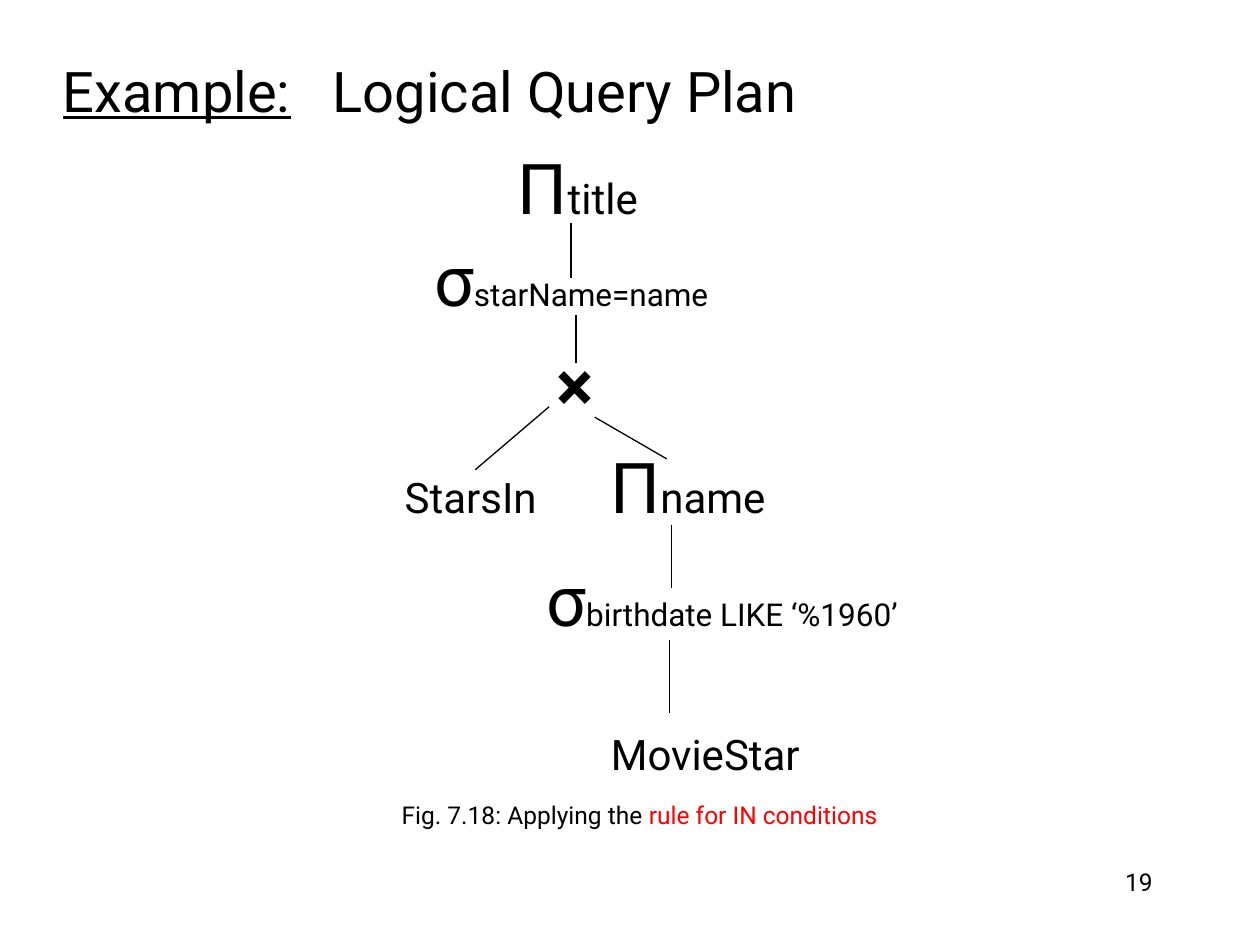
from lxml import etree
from pptx import Presentation
from pptx import util as u
from pptx.dml.color import RGBColor
from pptx.enum import shapes, text
from pptx.oxml import ns

BLACK = RGBColor(0, 0, 0)
RED = RGBColor(255, 0, 0)
FONT = "Roboto"
MID = text.PP_ALIGN.CENTER

NODES = [
    (11.65, 3.77, 3.6, "Π", "title", 24),
    (11.52, 5.61, 6.6, "σ", "starName=name", 18),
    (11.59, 7.73, 1.6, "×", "", 24),
    (9.49, 10.02, 3.8, "", "StarsIn", 24),
    (13.87, 9.79, 4.4, "Π", "name", 24),
    (14.56, 12.07, 8.4, "σ", "birthdate LIKE ‘%1960’", 18),
    (14.22, 15.19, 4.8, "", "MovieStar", 24),
]
EDGES = [
    (11.51, 4.5, 11.51, 5.61),
    (11.61, 6.35, 11.61, 7.32),
    (13.54, 10.59, 13.54, 11.86),
    (13.49, 12.9, 13.49, 14.38),
    (11.07, 8.2, 9.58, 9.47),
    (11.99, 8.41, 13.44, 9.25),
]


def add_text(slide, box, size, align=None, anchor=text.MSO_ANCHOR.MIDDLE):
    """Add an empty text box and return its paragraph."""
    frame = slide.shapes.add_textbox(*map(u.Cm, box)).text_frame
    frame.word_wrap = True
    frame.vertical_anchor = anchor
    para = frame.paragraphs[0]
    para.alignment = align
    para.font.name = FONT
    para.font.size = u.Pt(size)
    para.font.color.rgb = BLACK
    return para


def add_run(para, words):
    """Append a run and return its font."""
    run = para.add_run()
    run.text = words
    return run.font


def add_title(slide):
    """Add the heading with its underlined lead word."""
    para = add_text(slide, (1.02, 0.58, 23.27, 2.46), 32)
    tabs = etree.Element(ns.qn("a:tabLst"))
    etree.SubElement(tabs, ns.qn("a:tab"), pos=str(u.Cm(5.44)), algn="l")
    para._p.pPr.insert(0, tabs)
    add_run(para, "Example:").underline = True
    add_run(para, "\tLogical Query Plan")


def add_node(slide, x, y, wide, sign, label, size):
    """Add a plan node centred on a point."""
    high = 1.96 if sign else 1.27
    para = add_text(slide, (x - wide / 2, y - high / 2, wide, high), size, MID)
    para.font.bold = sign == "×"
    if sign:
        add_run(para, sign).size = u.Pt(40)
    if label:
        add_run(para, label)


def add_edge(slide, *ends):
    """Add a thin line between two points."""
    line = slide.shapes.add_connector(
        shapes.MSO_CONNECTOR.STRAIGHT, *map(u.Cm, ends))
    line.line.color.rgb = BLACK
    line.line.width = u.Pt(0.75)
    etree.SubElement(line._element.spPr, ns.qn("a:effectLst"))


def add_note(slide):
    """Add the figure caption and the page number."""
    para = add_text(slide, (3.74, 16, 18.31, 0.84), 14, MID)
    add_run(para, "Fig. 7.18: Applying the ")
    add_run(para, "rule for IN conditions").color.rgb = RED
    page = add_text(slide, (18.21, 17.35, 5.28, 1.27), 14,
                    text.PP_ALIGN.RIGHT, text.MSO_ANCHOR.TOP)
    add_run(page, "19")


def main():
    """Build the slide and save it."""
    deck = Presentation()
    deck.slide_width, deck.slide_height = u.Cm(25.4), u.Cm(19.05)
    slide = deck.slides.add_slide(deck.slide_layouts[6])
    add_title(slide)
    for node in NODES:
        add_node(slide, *node)
    for edge in EDGES:
        add_edge(slide, *edge)
    add_note(slide)
    deck.save("out.pptx")


if __name__ == "__main__":
    main()
